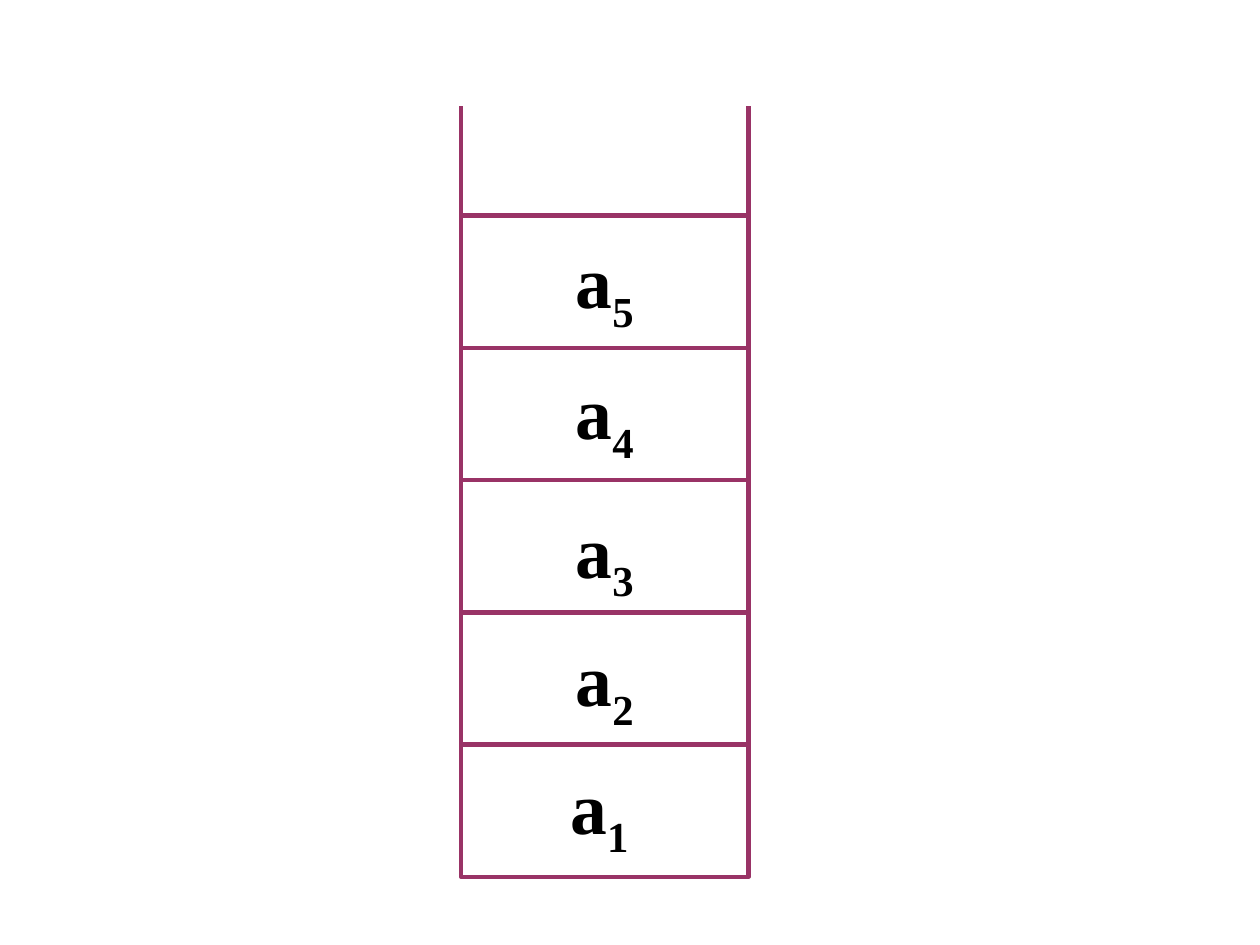
from lxml.etree import SubElement
from pptx import Presentation
from pptx.dml.color import RGBColor
from pptx.enum.shapes import MSO_CONNECTOR as Connector, MSO_SHAPE as Shape
from pptx.enum.text import MSO_AUTO_SIZE as AutoSize, PP_ALIGN as Align
from pptx.oxml.ns import qn
from pptx.util import Inches, Pt

PLUM = RGBColor(0x99, 0x33, 0x66)
WHITE = RGBColor(0xFF, 0xFF, 0xFF)
BLACK = RGBColor(0x00, 0x00, 0x00)

STACK_LEFT, STACK_TOP = 3.66, 1.71
CELL_WIDTH, CELL_HEIGHT = 2.28, 1.05
OPEN_TOP = 0.84
LABELS = [("5", 1.86), ("4", 2.9), ("3", 4), ("2", 5.02), ("1 ", 6.03)]


def style_line(line):
    line.color.rgb = PLUM
    line.width = Pt(2.5)


def add_cell(group, top):
    cell = group.shapes.add_shape(
        Shape.RECTANGLE, Inches(STACK_LEFT), Inches(top),
        Inches(CELL_WIDTH), Inches(CELL_HEIGHT))
    cell.shadow.inherit = False
    cell.fill.solid()
    cell.fill.fore_color.rgb = WHITE
    color = cell.fill._xPr.find(qn("a:solidFill")).find(qn("a:srgbClr"))
    SubElement(color, qn("a:alpha"), val="50000")
    style_line(cell.line)


def add_wall(group, x):
    wall = group.shapes.add_connector(
        Connector.STRAIGHT, Inches(x), Inches(STACK_TOP),
        Inches(x), Inches(OPEN_TOP))
    style_line(wall.line)
    SubElement(wall._element.spPr, qn("a:effectLst"))


def add_run(paragraph, text, size=42, font="Times New Roman", color=BLACK,
            bold=True, baseline=None):
    run = paragraph.add_run()
    run.text = text
    run.font.size = Pt(size)
    run.font.name = font
    run.font.bold = bold
    run.font.color.rgb = color
    if baseline is not None:
        run.font._element.set("baseline", str(baseline * 1000))


def add_label(slide, subscript, top):
    box = slide.shapes.add_textbox(
        Inches(STACK_LEFT), Inches(top), Inches(CELL_WIDTH), Inches(0.7))
    frame = box.text_frame
    frame.word_wrap = True
    frame.auto_size = AutoSize.SHAPE_TO_FIT_TEXT
    paragraph = frame.paragraphs[0]
    paragraph.alignment = Align.CENTER
    paragraph.line_spacing = 0.85
    add_run(paragraph, "a")
    add_run(paragraph, subscript, baseline=-25)


def main():
    presentation = Presentation()
    presentation.slide_width = Inches(10)
    presentation.slide_height = Inches(7.5)
    slide = presentation.slides.add_slide(presentation.slide_layouts[6])

    stack = slide.shapes.add_group_shape()
    for index in range(len(LABELS)):
        add_cell(stack, STACK_TOP + index * CELL_HEIGHT)
    for x in (STACK_LEFT, STACK_LEFT + CELL_WIDTH):
        add_wall(stack, x)
    for subscript, top in LABELS:
        add_label(slide, subscript, top)

    presentation.save("out.pptx")


if __name__ == "__main__":
    main()
